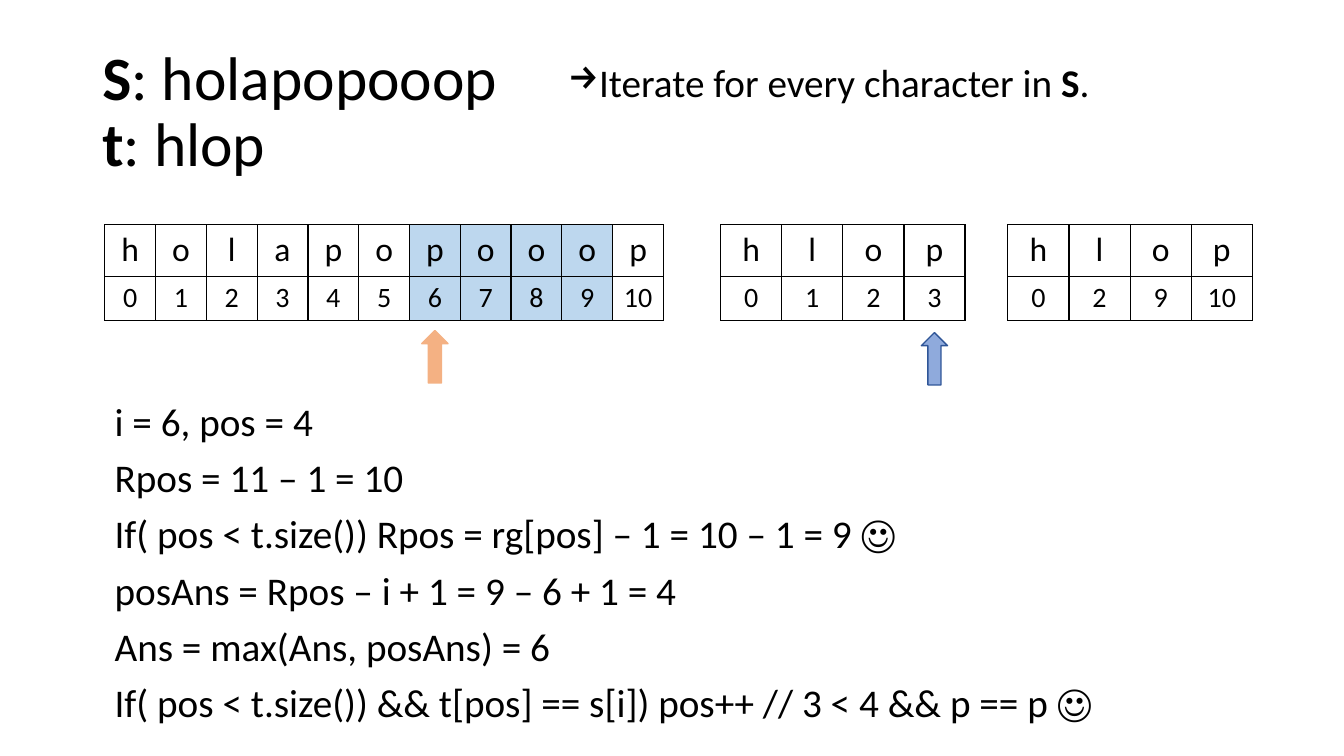
"""Build the slide that traces the subsequence search of t inside S."""
from dataclasses import dataclass

from lxml.etree import SubElement
from pptx import Presentation
from pptx.dml.color import RGBColor
from pptx.enum.shapes import MSO_SHAPE
from pptx.enum.text import MSO_ANCHOR, PP_ALIGN
from pptx.oxml.ns import qn
from pptx.slide import Slide
from pptx.table import _Cell
from pptx.text.text import TextFrame, _Paragraph
from pptx.util import Cm, Pt

COLORS = {
    "text": "000000",
    "range": "BDD7EE",
    "scan": "F4B183",
    "match": "8FAADC",
    "match_edge": "2F5597",
}
FONT = "Calibri"
GRID_TOP = 5.66
ROW_HEIGHTS = (1.3, 1.12)
ROW_SIZES = (24, 20)
ARROW_LENGTH, ARROW_WIDTH = 1.32, 0.66


@dataclass(frozen=True)
class Grid:
    left: float
    column: float
    letters: str
    indices: tuple[int, ...]
    marked: range = range(0)

    def center(self, index: int) -> float:
        return self.left + (index + 0.5) * self.column


@dataclass(frozen=True)
class Pointer:
    center: float
    top: float
    fill: str
    edge: str


SOURCE = Grid(2.64, 1.28, "holapopooop", tuple(range(11)), range(6, 10))
TARGET = Grid(18.16, 1.54, "hlop", (0, 1, 2, 3))
RIGHTMOST = Grid(25.4, 1.54, "hlop", (0, 2, 9, 10))
POINTERS = (
    Pointer(SOURCE.center(6), 8.33, "scan", "scan"),
    Pointer(TARGET.center(3), 8.38, "match", "match_edge"),
)
STEPS = (
    "i = 6, pos = 4",
    "Rpos = 11 – 1 = 10",
    "If( pos < t.size()) Rpos = rg[pos] – 1 = 10 – 1 = 9 ☺",
    "posAns = Rpos – i + 1 = 9 – 6 + 1 = 4",
    "Ans = max(Ans, posAns) = 6",
    "If( pos < t.size()) && t[pos] == s[i]) pos++ // 3 < 4 && p == p ☺",
)


def color(name: str) -> RGBColor:
    return RGBColor.from_string(COLORS[name])


def style(paragraph: _Paragraph, size: float) -> None:
    paragraph.font.name = FONT
    paragraph.font.size = Pt(size)
    paragraph.font.color.rgb = color("text")


def add_run(paragraph: _Paragraph, text: str, bold: bool = False) -> None:
    run = paragraph.add_run()
    run.text = text
    if bold:
        run.font.bold = True


def add_text(slide: Slide, left: float, top: float, width: float, height: float) -> TextFrame:
    frame = slide.shapes.add_textbox(Cm(left), Cm(top), Cm(width), Cm(height)).text_frame
    frame.word_wrap = True
    return frame


def add_heading(slide: Slide) -> None:
    frame = add_text(slide, 2.33, 1.02, 29.21, 3.68)
    frame.vertical_anchor = MSO_ANCHOR.MIDDLE
    strings = frame.paragraphs[0]
    strings.line_spacing = 0.9
    style(strings, 44)
    add_run(strings, "S", bold=True)
    add_run(strings, ": holapopooop")
    strings.add_line_break()
    add_run(strings, "t", bold=True)
    add_run(strings, ": hlop")


def add_hint(slide: Slide) -> None:
    hint = add_text(slide, 14.07, 1.47, 14.05, 1.5).paragraphs[0]
    hint.line_spacing = 0.9
    hint.space_before = Pt(10)
    properties = hint._p.get_or_add_pPr()
    properties.set("marL", str(Cm(0.64)))
    properties.set("indent", str(-Cm(0.64)))
    SubElement(properties, qn("a:buChar"), char="→")
    style(hint, 28)
    add_run(hint, "Iterate for every character in ")
    add_run(hint, "S", bold=True)
    add_run(hint, ".")


def add_steps(slide: Slide) -> None:
    frame = add_text(slide, 2.64, 10.01, 25.5, 8.51)
    for number, step in enumerate(STEPS):
        paragraph = frame.add_paragraph() if number else frame.paragraphs[0]
        paragraph.line_spacing = 0.9
        paragraph.space_before = Pt(10)
        style(paragraph, 28)
        add_run(paragraph, step)


def add_borders(cell: _Cell) -> None:
    properties = cell._tc.get_or_add_tcPr()
    for side in ("a:lnL", "a:lnR", "a:lnT", "a:lnB"):
        line = SubElement(properties, qn(side), w=str(Pt(1)))
        fill = SubElement(line, qn("a:solidFill"))
        SubElement(fill, qn("a:srgbClr"), val=COLORS["text"])


def add_grid(slide: Slide, grid: Grid) -> None:
    count = len(grid.letters)
    table = slide.shapes.add_table(
        2, count, Cm(grid.left), Cm(GRID_TOP), Cm(count * grid.column), Cm(sum(ROW_HEIGHTS))
    ).table
    table.first_row = False
    table.horz_banding = False
    for column in table.columns:
        column.width = Cm(grid.column)
    for row, values in enumerate((grid.letters, grid.indices)):
        table.rows[row].height = Cm(ROW_HEIGHTS[row])
        for index, value in enumerate(values):
            cell = table.cell(row, index)
            add_borders(cell)
            if index in grid.marked:
                cell.fill.solid()
                cell.fill.fore_color.rgb = color("range")
            else:
                cell.fill.background()
            paragraph = cell.text_frame.paragraphs[0]
            paragraph.alignment = PP_ALIGN.CENTER
            style(paragraph, ROW_SIZES[row])
            add_run(paragraph, str(value))


def add_pointer(slide: Slide, pointer: Pointer) -> None:
    arrow = slide.shapes.add_shape(
        MSO_SHAPE.RIGHT_ARROW,
        Cm(pointer.center - ARROW_LENGTH / 2),
        Cm(pointer.top + (ARROW_LENGTH - ARROW_WIDTH) / 2),
        Cm(ARROW_LENGTH),
        Cm(ARROW_WIDTH),
    )
    arrow.rotation = 270
    arrow.shadow.inherit = False
    arrow.fill.solid()
    arrow.fill.fore_color.rgb = color(pointer.fill)
    arrow.line.color.rgb = color(pointer.edge)
    arrow.line.width = Pt(1)


def main() -> None:
    presentation = Presentation()
    presentation.slide_width = Cm(33.87)
    presentation.slide_height = Cm(19.05)
    slide = presentation.slides.add_slide(presentation.slide_layouts[6])
    add_heading(slide)
    add_hint(slide)
    for grid in (SOURCE, TARGET, RIGHTMOST):
        add_grid(slide, grid)
    for pointer in POINTERS:
        add_pointer(slide, pointer)
    add_steps(slide)
    presentation.save("out.pptx")


if __name__ == "__main__":
    main()
